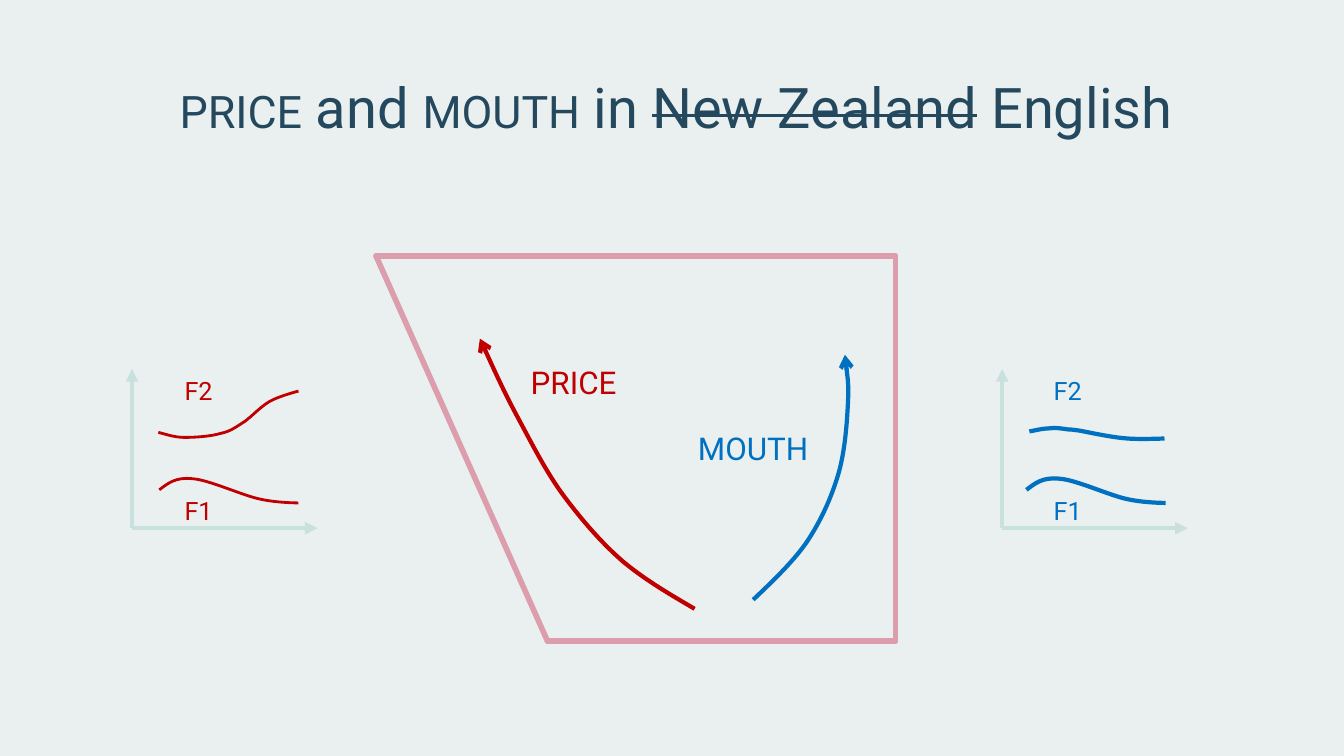
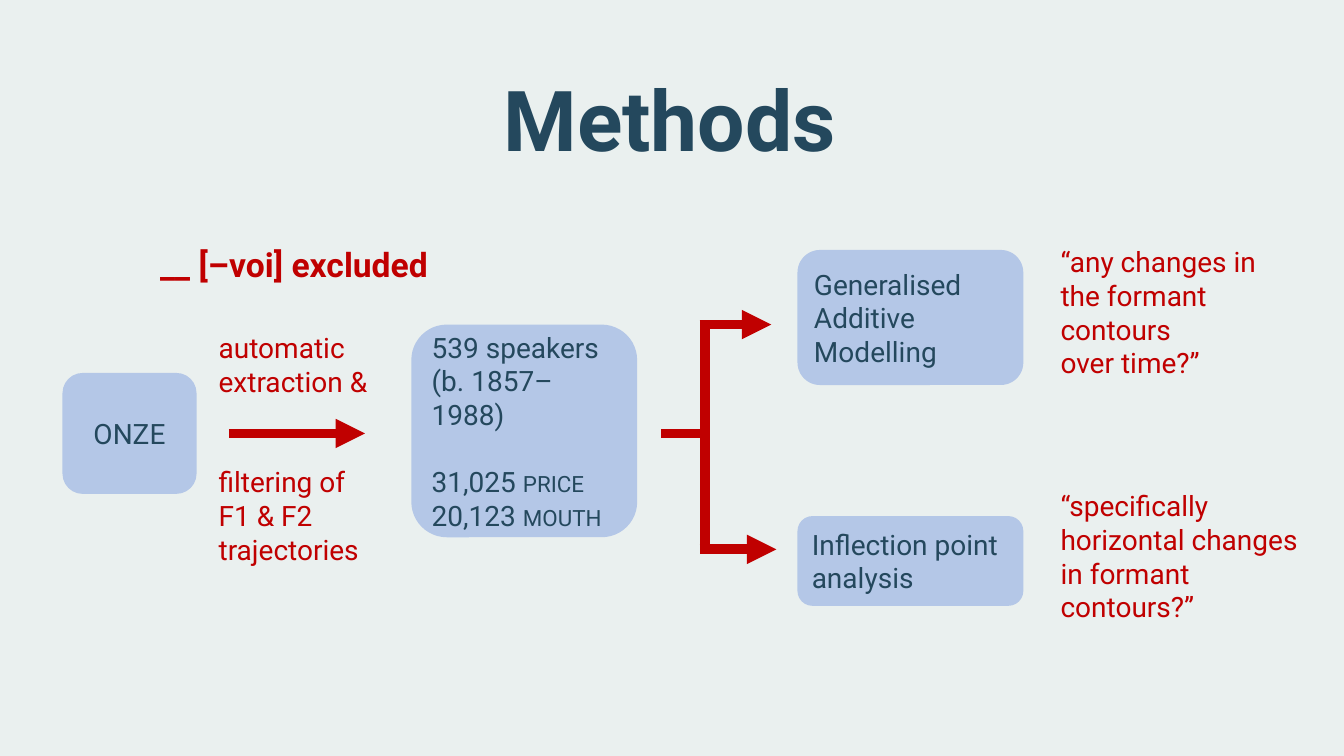
from lxml.etree import SubElement
from pptx import Presentation
from pptx.dml.color import RGBColor
from pptx.enum.shapes import MSO_CONNECTOR, MSO_SHAPE
from pptx.enum.text import MSO_ANCHOR, PP_ALIGN
from pptx.oxml.ns import qn
from pptx.util import Inches, Pt

BACKGROUND = RGBColor(0xEA, 0xF0, 0xEF)
NAVY = RGBColor(0x24, 0x48, 0x5D)
RED = RGBColor(0xC0, 0x00, 0x00)
BLUE = RGBColor(0x00, 0x70, 0xC0)
PINK = RGBColor(0xDC, 0x9E, 0xAD)
MINT = RGBColor(0xC8, 0xE1, 0xDD)
BOX_BLUE = RGBColor(0xB4, 0xC7, 0xE7)
FONT = "Roboto"
SMALL = {"cap": "small"}
STRIKE = {"strike": "sngStrike"}
HEADING = {"anchor": MSO_ANCHOR.BOTTOM, "align": PP_ALIGN.CENTER, "spacing": 0.9}


def write(sp, paragraphs, size, color, bold=False, anchor=MSO_ANCHOR.TOP,
          align=PP_ALIGN.LEFT, spacing=1.0, gaps=None):
    """Fill a shape; a paragraph is a list of (text, run attributes), gaps maps its index to space before."""
    tf = sp.text_frame
    tf.word_wrap = True
    tf.vertical_anchor = anchor
    for i, runs in enumerate(paragraphs):
        p = tf.paragraphs[0] if i == 0 else tf.add_paragraph()
        p.alignment = align
        p.line_spacing = spacing
        if gaps and i in gaps:
            p.space_before = Pt(gaps[i])
        for text, attributes in runs:
            r = p.add_run()
            r.text = text
            for name, value in {"name": FONT, "size": Pt(size), "bold": bold}.items():
                setattr(r.font, name, value)
            r.font.color.rgb = color
            for name, value in attributes.items():
                r._r.get_or_add_rPr().set(name, value)


def draw_line(slide, points, color, width, arrow=None, cap="flat"):
    """Draw a connector through two points, or a chain of cubic Béziers through more."""
    points = [(Inches(x), Inches(y)) for x, y in points]
    if len(points) == 2:
        sp = slide.shapes.add_connector(MSO_CONNECTOR.STRAIGHT, *points[0], *points[1])
        SubElement(sp.element.spPr, qn("a:effectLst"))
    else:
        builder = slide.shapes.build_freeform(*points[0])
        builder.add_line_segments(points[1:], close=False)
        sp = builder.convert_to_shape()
        sp.fill.background()
        sp.shadow.inherit = False
        outline = next(sp.element.iter(qn("a:path")))
        for i, segment in enumerate(outline.findall(qn("a:lnTo"))):
            if i % 3 == 0:
                curve = SubElement(outline, qn("a:cubicBezTo"))
            curve.append(segment[0])
            outline.remove(segment)
    sp.line.color.rgb = color
    sp.line.width = Pt(width)
    ln = sp.element.spPr.find(qn("a:ln"))
    ln.set("cap", cap)
    if arrow:
        SubElement(ln, qn("a:tailEnd"), type=arrow)


prs = Presentation()
prs.slide_width, prs.slide_height = Inches(13.33), Inches(7.5)

TITLES = [
    ((1.22, 0.41, 10.97, 1.03), 40, False,
     [("price", SMALL), (" and ", {}), ("mouth", SMALL), (" in ", {}),
      ("New Zealand", STRIKE), (" English", {})]),
    ((1.16, 1, 10.97, 0.73), 60, True, [("Methods", {})]),
]
slides = []
for area, size, bold, runs in TITLES:
    s = prs.slides.add_slide(prs.slide_layouts[6])
    s.background.fill.solid()
    s.background.fill.fore_color.rgb = BACKGROUND
    write(s.shapes.add_textbox(*map(Inches, area)), [runs], size, NAVY, bold, **HEADING)
    slides.append(s)
vowels, methods = slides

# Vowel space and the two diphthong paths
corners = [(3.73, 2.54), (8.88, 2.54), (8.88, 6.36), (5.43, 6.36)]
for start, end in zip(corners, corners[1:] + corners[:1]):
    draw_line(vowels, [start, end], PINK, 4, cap="rnd")

price_glide = [(6.89, 6.04), (6.65, 5.9), (6.41, 5.76), (6.19, 5.58), (5.98, 5.4),
               (5.78, 5.17), (5.6, 4.93), (5.42, 4.69), (5.27, 4.39), (5.13, 4.13),
               (4.99, 3.87), (4.76, 3.36), (4.76, 3.36)]
mouth_glide = [(7.47, 5.95), (7.66, 5.77), (7.86, 5.58), (8, 5.38), (8.14, 5.17),
               (8.24, 4.95), (8.31, 4.72), (8.38, 4.49), (8.4, 4.2), (8.41, 4),
               (8.42, 3.8), (8.38, 3.52), (8.38, 3.52)]
for name, glide, left, top, color in [("price", price_glide, 4.93, 3.46, RED),
                                      ("mouth", mouth_glide, 6.71, 4.11, BLUE)]:
    draw_line(vowels, glide, color, 3, "arrow")
    label = vowels.shapes.add_textbox(Inches(left), Inches(top), Inches(1.52), Inches(0.59))
    write(label, [[(name, SMALL)]], 28, color, **HEADING)

# Formant plots: the F1 contour is shared, its x measured from its own start
f1_shape = [(0, 4.86), (0.08, 4.8), (0.16, 4.73), (0.33, 4.75), (0.49, 4.76),
            (0.81, 4.91), (0.99, 4.95), (1.16, 4.99), (1.38, 4.99), (1.38, 4.99)]
price_f2 = [(1.57, 4.29), (1.65, 4.31), (1.73, 4.34), (1.83, 4.34), (1.94, 4.34),
            (2.09, 4.33), (2.19, 4.3), (2.29, 4.28), (2.35, 4.23), (2.43, 4.18),
            (2.51, 4.12), (2.59, 4.03), (2.68, 3.98), (2.77, 3.93), (2.96, 3.88),
            (2.96, 3.88)]
mouth_f2 = [(10.21, 4.28), (10.27, 4.27), (10.34, 4.25), (10.4, 4.25), (10.46, 4.24),
            (10.53, 4.25), (10.59, 4.26), (10.65, 4.26), (10.75, 4.28), (10.75, 4.28),
            (10.85, 4.3), (11.04, 4.34), (11.18, 4.35), (11.31, 4.36), (11.55, 4.35),
            (11.55, 4.35)]
for axis_x, f1_x, label_x, f2, color, width in [(1.31, 1.58, 1.72, price_f2, RED, 2),
                                                (9.94, 10.18, 10.34, mouth_f2, BLUE, 3)]:
    for tip in [(axis_x, 3.66), (axis_x + 1.84, 5.24)]:
        draw_line(vowels, [(axis_x, 5.24), tip], MINT, 3, "triangle")
    f1 = [(f1_x + x, y) for x, y in f1_shape]
    for name, contour, top in [("F1", f1, 4.87), ("F2", f2, 3.68)]:
        draw_line(vowels, contour, color, width)
        label = vowels.shapes.add_textbox(Inches(label_x), Inches(top), Inches(0.5), Inches(0.4))
        write(label, [[(name, {})]], 18, color, **HEADING)

# Methods flow: remarks, boxes, arrows
REMARKS = [
    ((2.07, 3.23, 1.96, 2.46), 20, False,
     ["automatic extraction &", "filtering of", "F1 & F2 trajectories"], {1: 48}),
    ((10.42, 2.38, 2.42, 1.45), 20, False,
     ["“any changes in the formant contours", "over time?”"], None),
    ((10.42, 4.8, 2.69, 1.45), 20, False,
     ["“specifically horizontal changes in formant contours?”"], None),
    ((1.49, 2.37, 3.12, 0.5), 24, True, ["__ [–voi] excluded"], None),
]
for area, size, bold, lines, gaps in REMARKS:
    sp = methods.shapes.add_textbox(*map(Inches, area))
    write(sp, [[(text, {})] for text in lines], size, RED, bold, gaps=gaps)

speakers = [[("539 speakers", {})], [("(b. 1857–1988)", {})],
            [("31,025 ", {}), ("price", SMALL)], [("20,123 ", {}), ("mouth", SMALL)]]
BOXES = [
    ((0.62, 3.7, 1.33, 1.2), [[("ONZE", {})]], PP_ALIGN.CENTER, None),
    ((4.08, 3.22, 2.24, 2.11), speakers, PP_ALIGN.LEFT, {2: 24}),
    ((7.91, 2.48, 2.24, 1.34), [[("Generalised Additive Modelling", {})]], PP_ALIGN.LEFT, None),
    ((7.91, 5.12, 2.24, 0.89), [[("Inflection point analysis", {})]], PP_ALIGN.LEFT, None),
]
for area, paragraphs, align, gaps in BOXES:
    sp = methods.shapes.add_shape(MSO_SHAPE.ROUNDED_RECTANGLE, *map(Inches, area))
    sp.shadow.inherit = False
    sp.fill.solid()
    sp.fill.fore_color.rgb = BOX_BLUE
    sp.line.fill.background()
    write(sp, paragraphs, 20, NAVY, anchor=MSO_ANCHOR.MIDDLE, align=align, gaps=gaps)

for start, end, arrow in [
    ((2.27, 4.3), (3.62, 4.3), "triangle"),
    ((6.56, 4.3), (6.99, 4.3), None),
    ((6.99, 4.35), (6.99, 3.22), None),
    ((6.99, 5.45), (6.99, 4.28), None),
    ((6.94, 3.22), (7.65, 3.22), "triangle"),
    ((6.94, 5.45), (7.7, 5.45), "triangle"),
]:
    draw_line(methods, [start, end], RED, 7, arrow)

prs.save("out.pptx")
